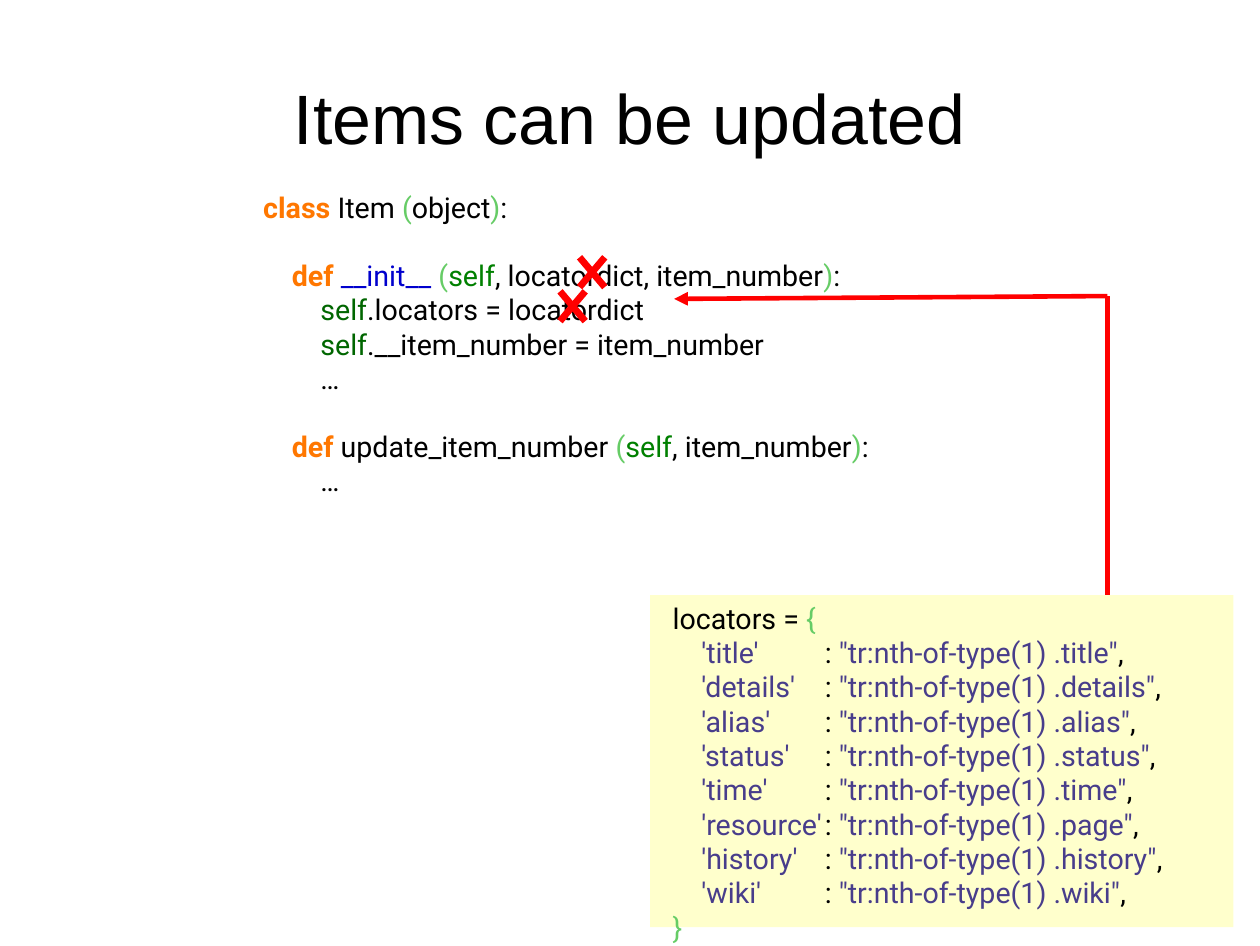
from dataclasses import dataclass
from lxml.etree import SubElement
from pptx import Presentation
from pptx.dml.color import RGBColor
from pptx.enum.shapes import MSO_CONNECTOR, MSO_SHAPE
from pptx.enum.text import MSO_ANCHOR, PP_ALIGN
from pptx.oxml.ns import qn
from pptx.util import Inches, Pt


@dataclass(frozen=True)
class Theme:
    black: str = "000000"
    orange: str = "FF7700"
    green: str = "66CC66"
    self_arg: str = "008000"
    self_body: str = "006600"
    blue: str = "0000CD"
    purple: str = "483D8B"
    red: str = "FF0000"
    cream: str = "FFFFCC"
    head_font: str = "Arial"
    code_font: str = "Roboto"
    head_size: int = 44
    code_size: int = 18
    gap: int = 21
    arrow: float = 2.89
    cross: float = 4.31


T = Theme()
WIDE, HIGH = Inches(11.02), Inches(8.27)


def col(share):
    return round(WIDE * share / 100)


def row(share):
    return round(HIGH * share / 100)


def area(left, top, width, height):
    return col(left), row(top), col(width), row(height)


def style(run, font, size, color):
    run.font.name = font
    run.font.size = Pt(size)
    run.font.color.rgb = RGBColor.from_string(color)
    run.font.bold = color == T.orange


def add_title(slide, text, box):
    frame = slide.shapes.add_textbox(*area(*box)).text_frame
    frame.word_wrap = True
    frame.vertical_anchor = MSO_ANCHOR.MIDDLE
    frame.margin_left = frame.margin_right = 0
    frame.margin_top = frame.margin_bottom = 0
    frame.text = text
    para = frame.paragraphs[0]
    para.alignment = PP_ALIGN.CENTER
    style(para.runs[0], T.head_font, T.head_size, T.black)


def add_tabs(para, stops):
    tabs = SubElement(para._p.get_or_add_pPr(), qn("a:tabLst"))
    for stop in stops:
        SubElement(tabs, qn("a:tab"), pos=str(Inches(stop)), algn="l")


def add_code(slide, lines, box, stops):
    frame = slide.shapes.add_textbox(*area(*box)).text_frame
    frame.word_wrap = True
    for index, (gap, parts) in enumerate(lines):
        para = frame.add_paragraph() if index else frame.paragraphs[0]
        para.space_before = Pt(gap)
        add_tabs(para, stops)
        for text, color in parts:
            run = para.add_run()
            run.text = text
            style(run, T.code_font, T.code_size, color)


def add_panel(slide, box):
    panel = slide.shapes.add_shape(MSO_SHAPE.RECTANGLE, *area(*box))
    panel.shadow.inherit = False
    panel.fill.solid()
    panel.fill.fore_color.rgb = RGBColor.from_string(T.cream)
    panel.line.fill.background()


def add_line(slide, start, end, width, head=False):
    line = slide.shapes.add_connector(
        MSO_CONNECTOR.STRAIGHT, col(start[0]), row(start[1]), col(end[0]), row(end[1]))
    line.line.color.rgb = RGBColor.from_string(T.red)
    line.line.width = Pt(width)
    if head:
        SubElement(line.line._get_or_add_ln(), qn("a:tailEnd"), type="triangle")
    SubElement(line._element.spPr, qn("a:effectLst"))


def add_cross(slide, left, top):
    right, low = left + 2, top + 3.15
    add_line(slide, (left, low), (right, top), T.cross)
    add_line(slide, (left, top), (right, low), T.cross)


def call(args, shade):
    return [("(", T.green), (args[0], shade), (args[1], T.black),
            (")", T.green), (":", T.black)]


def assign(text):
    return 0, [("\t\tself", T.self_body), (text, T.black)]


def entry(key, name):
    return 0, [(f"\t'{key}'", T.purple), ("\t: ", T.black),
               (f'"tr:nth-of-type(1) .{name}"', T.purple), (",", T.black)]


def class_code():
    dots = 0, [("\t\t…", T.black)]
    return [
        (0, [("class", T.orange), (" Item ", T.black)] + call(("object", ""), T.black)),
        (T.gap, [("\tdef ", T.orange), ("__init__ ", T.blue)]
         + call(("self", ", locatordict, item_number"), T.self_arg)),
        assign(".locators = locatordict"),
        assign(".__item_number = item_number"),
        dots,
        (T.gap, [("\tdef", T.orange), (" update_item_number ", T.black)]
         + call(("self", ", item_number"), T.self_arg)),
        dots,
    ]


def dict_code():
    keys = ["title", "details", "alias", "status", "time", "resource", "history", "wiki"]
    names = {"resource": "page"}
    return [(0, [("locators = ", T.black), ("{", T.green)]),
            *[entry(key, names.get(key, key)) for key in keys],
            (0, [("}", T.green)])]


def main():
    deck = Presentation()
    deck.slide_width, deck.slide_height = WIDE, HIGH
    slide = deck.slides.add_slide(deck.slide_layouts[6])
    bend = 87.9, 31.3
    add_title(slide, "Items can be updated", (5, 4, 90, 16.7))
    add_code(slide, class_code(), (20, 19.5, 50.5, 35.1), (0.25, 0.5))
    add_panel(slide, (51.6, 62.9, 46.3, 35.1))
    add_line(slide, bend, (53.5, 31.6), T.arrow, head=True)
    add_code(slide, dict_code(), (52.5, 62.9, 47.4, 35.1), (0.25, 1.33))
    add_line(slide, bend, (bend[0], 62.9), T.arrow)
    add_cross(slide, 46, 27.2)
    add_cross(slide, 44.45, 30.8)
    deck.save("out.pptx")


if __name__ == "__main__":
    main()
